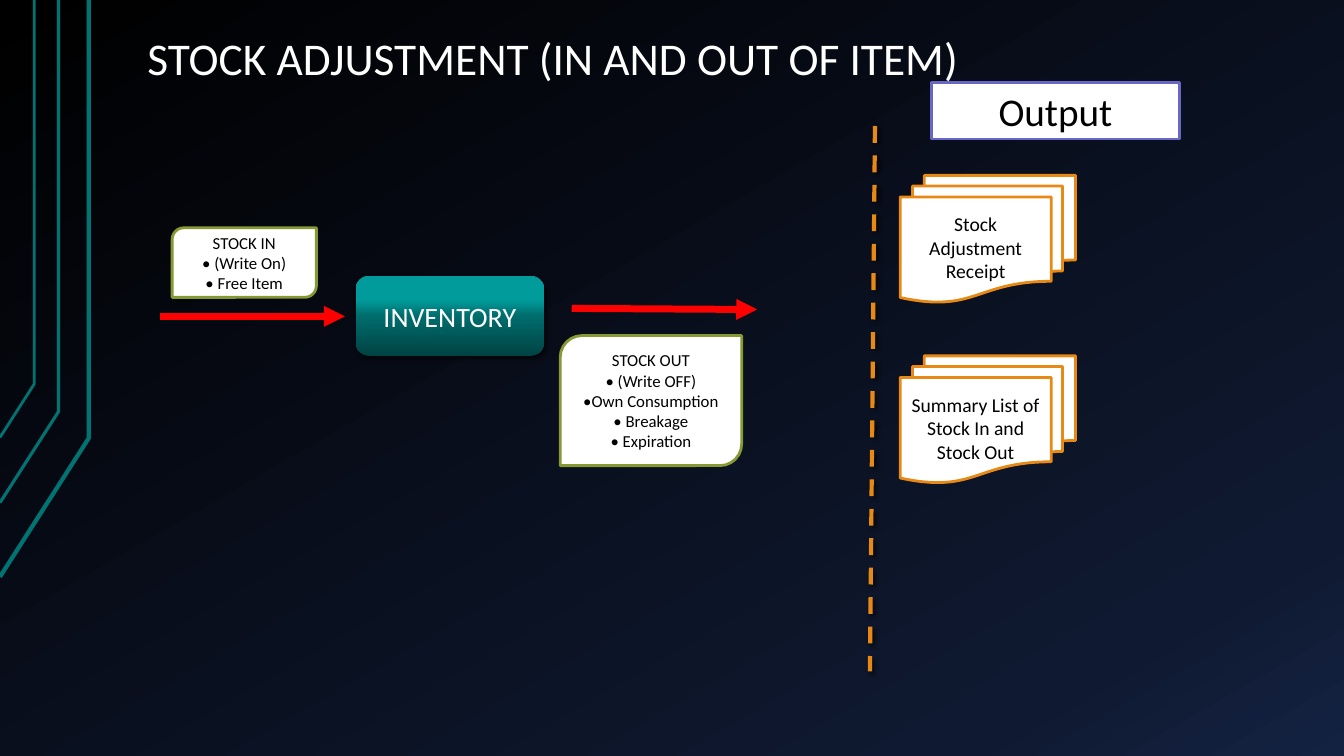
from lxml.etree import SubElement
from pptx import Presentation
from pptx.dml.color import RGBColor
from pptx.enum.dml import MSO_LINE
from pptx.enum.shapes import MSO_CONNECTOR, MSO_SHAPE
from pptx.enum.text import MSO_ANCHOR, PP_ALIGN
from pptx.oxml.ns import qn
from pptx.util import Pt

WHITE, BLACK, TEAL = "FFFFFF", "000000", "007373"
ORANGE, OLIVE, VIOLET, RED = "E98915", "879933", "6868C4", "FF0000"


def color(value):
    return RGBColor.from_string(value)


def add_xml(parent, tag, **attributes):
    return SubElement(parent, qn(tag), {k: str(v) for k, v in attributes.items()})


def set_gradient(fill, owner, stops, angle):
    fill.gradient()
    gradient = owner.xpath(".//a:gradFill")[0]
    for child in list(gradient):
        gradient.remove(child)
    stop_list = add_xml(gradient, "a:gsLst")
    for position, value in stops:
        stop = add_xml(stop_list, "a:gs", pos=position * 1000)
        add_xml(stop, "a:srgbClr", val=value)
    add_xml(gradient, "a:lin", ang=angle * 60000, scaled=0)


def set_effects(part, shadow):
    properties = part.element.spPr
    for old in properties.findall(qn("a:effectLst")):
        properties.remove(old)
    effects = add_xml(properties, "a:effectLst")
    if shadow:
        outer = add_xml(effects, "a:outerShdw", blurRad=Pt(3), dist=Pt(2),
                        dir=45 * 60000, algn="tl", rotWithShape=0)
        tone = add_xml(outer, "a:srgbClr", val=BLACK)
        add_xml(tone, "a:alpha", val=60000)


def set_line(part, value, width):
    part.line.color.rgb = color(value)
    part.line.width = Pt(width)


def write(part, paragraphs, size, value, align=PP_ALIGN.CENTER, **frame_format):
    frame = part.text_frame
    settings = {"word_wrap": True, "vertical_anchor": MSO_ANCHOR.MIDDLE, **frame_format}
    for name, setting in settings.items():
        setattr(frame, name, setting)
    for index, words in enumerate(paragraphs):
        paragraph = frame.add_paragraph() if index else frame.paragraphs[0]
        paragraph.alignment = align
        run = paragraph.add_run()
        run.text = words
        for name, setting in {"name": "Calibri", "size": Pt(size)}.items():
            setattr(run.font, name, setting)
        run.font.color.rgb = color(value)


def add_card(slide, kind, box, paragraphs, size, border):
    card = slide.shapes.add_shape(kind, *map(Pt, box))
    card.shadow.inherit = False
    card.fill.solid()
    card.fill.fore_color.rgb = color(WHITE)
    set_line(card, border, 2)
    write(card, paragraphs, size, BLACK)


def add_rule(slide, start, end, value, width, shadow=False):
    rule = slide.shapes.add_connector(MSO_CONNECTOR.STRAIGHT, *map(Pt, start + end))
    set_line(rule, value, width)
    set_effects(rule, shadow)
    return rule


def add_arrow(slide, start, end):
    arrow = add_rule(slide, start, end, RED, 5)
    add_xml(arrow.line._get_or_add_ln(), "a:tailEnd", type="triangle")


def add_backdrop(slide, box):
    left, top, _, _ = box
    set_gradient(slide.background.fill, slide.element,
                 [(0, "000000"), (85, "0F1931"), (100, "142242")], 60)
    # Bent lines on the left edge: x of the upright, y of the bend, y at the edge
    for upright, bend, edge, width in [(63.4, 313, 412, 3), (41.8, 294, 359, 2.25),
                                       (24.5, 274.3, 312.5, 2)]:
        builder = slide.shapes.build_freeform(Pt(left), Pt(top + edge))
        builder.add_line_segments([(Pt(left + upright), Pt(top + bend)),
                                   (Pt(left + upright), Pt(top))], close=False)
        bent_line = builder.convert_to_shape()
        bent_line.shadow.inherit = False
        bent_line.fill.background()
        set_line(bent_line, TEAL, width)


def add_title(slide, box):
    title = slide.shapes.add_textbox(*map(Pt, box))
    write(title, ["STOCK ADJUSTMENT (IN AND OUT OF ITEM)"], 32.4, WHITE, PP_ALIGN.LEFT,
          vertical_anchor=MSO_ANCHOR.BOTTOM, margin_left=Pt(9.4), margin_right=Pt(9.4),
          margin_top=Pt(5), margin_bottom=Pt(5))
    title.text_frame.paragraphs[0].line_spacing = 0.9


def add_stock_flow(slide, box):
    left, top, _, _ = box
    # Arrows into and out of the inventory
    add_arrow(slide, (left, top + 63.3), (left + 132, top + 63.3))
    add_arrow(slide, (left + 294, top + 57.6), (left + 426.5, top + 58.4))
    # Reasons for each movement
    reasons = [
        ((left + 8.6, top, 103, 49.7), ["STOCK IN", "• (Write On)", "• Free Item"]),
        ((left + 285.8, top + 77, 129.6, 92.9),
         ["STOCK OUT", "• (Write OFF)", "•Own Consumption", "• Breakage", "• Expiration"]),
    ]
    for place, words in reasons:
        add_card(slide, MSO_SHAPE.ROUND_2_DIAG_RECTANGLE, place, words, 12, OLIVE)
    # Inventory
    inventory = slide.shapes.add_shape(
        MSO_SHAPE.ROUNDED_RECTANGLE, Pt(left + 139.7), Pt(top + 34.6), Pt(134.6), Pt(56.9))
    set_gradient(inventory.fill, inventory.element,
                 [(0, "004343"), (50, "006C6C"), (70, "019B9B"), (100, "009999")], 270)
    inventory.line.fill.background()
    set_effects(inventory, True)
    write(inventory, ["INVENTORY"], 20, WHITE)


def add_output(slide, box):
    left, top, _, height = box
    # Dashed divider
    divider = add_rule(slide, (left + 3.6, top + 31), (left, top + height), ORANGE, 3, True)
    divider.line.dash_style = MSO_LINE.DASH
    # Heading and documents
    add_card(slide, MSO_SHAPE.RECTANGLE, (left + 44, top, 177, 40.3), ["Output"], 28, VIOLET)
    documents = ["Stock Adjustment Receipt", "Summary List of Stock In and Stock Out"]
    for row, words in enumerate(documents):
        add_card(slide, MSO_SHAPE.FLOWCHART_MULTIDOCUMENT,
                 (left + 21.6, top + 66.3 + row * 128.9, 125.3, 90.7), [words], 14, ORANGE)


presentation = Presentation()
presentation.slide_width, presentation.slide_height = Pt(960), Pt(540)
stock_slide = presentation.slides.add_slide(presentation.slide_layouts[6])
add_backdrop(stock_slide, (0, 0, 960, 540))
add_title(stock_slide, (95.8, 21.6, 816, 44.6))
add_stock_flow(stock_slide, (114.4, 162.7, 426.5, 170))
add_output(stock_slide, (621.4, 59, 221, 420.5))
presentation.save("out.pptx")
